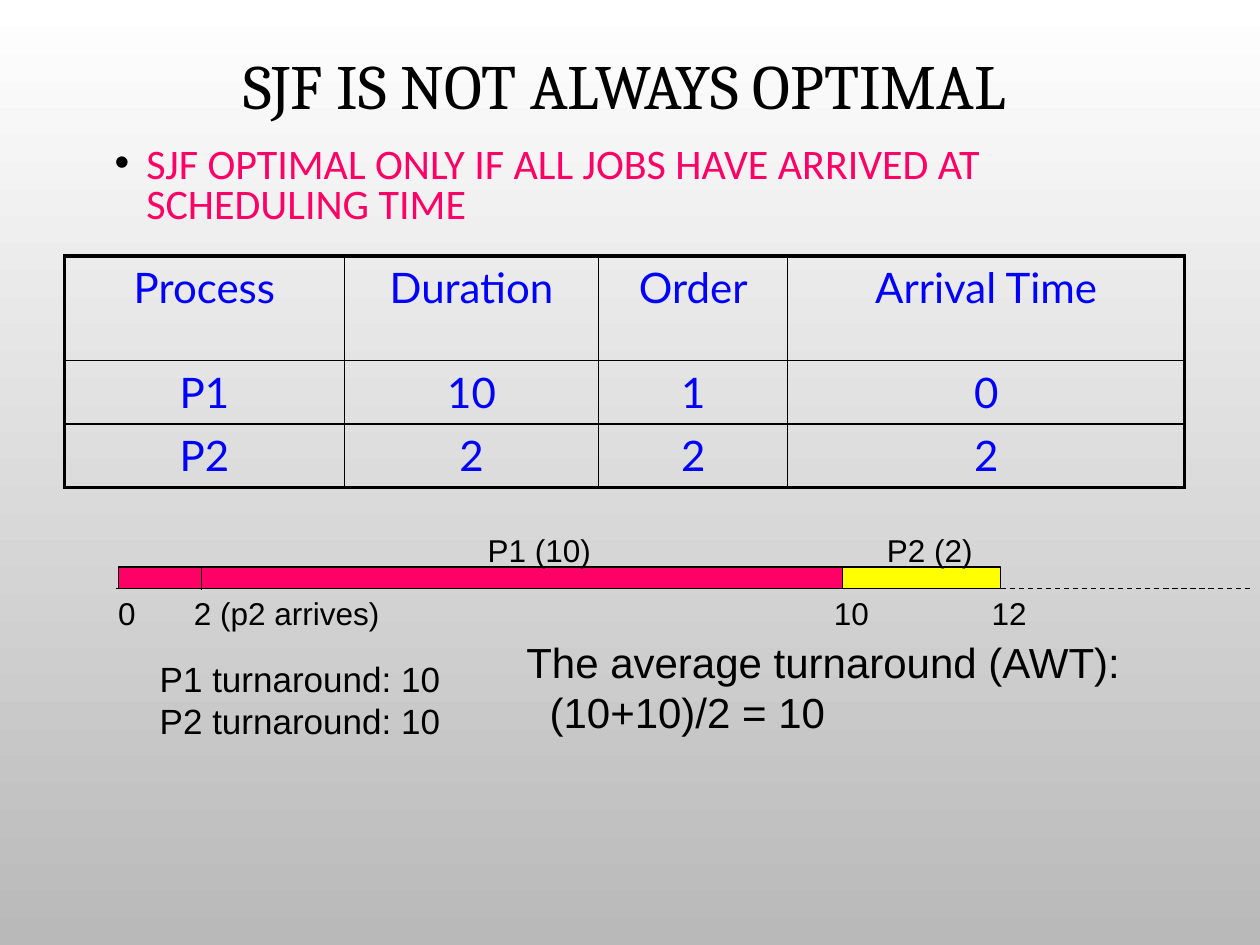
from typing import NamedTuple

import pptx
import pptx.dml.color
import pptx.enum.dml
import pptx.enum.shapes
import pptx.enum.text
import pptx.oxml
import pptx.oxml.ns
import pptx.util
from pptx.util import Cm, Pt

BLACK, PINK, YELLOW, BLUE = "000000", "FF0066", "FFFF00", "0000FF"
ALIGN = pptx.enum.text.PP_ALIGN
ANCHOR = pptx.enum.text.MSO_ANCHOR
NS = pptx.oxml.ns.nsdecls("a")
THIN, THICK = 1, 2.25
BAR_TOP, BAR_HEIGHT, AXIS_Y = 11.43, 0.43, 11.86
ABOVE_Y = 10.59


class Job(NamedTuple):
    left: float
    width: float
    color: str


class Note(NamedTuple):
    lines: list
    left: float
    top: float
    width: float
    height: float = 1.02
    size: float = 18
    wrap: bool = False
    last_indent: float = 0


JOBS = [Job(2.39, 14.6, PINK), Job(16.99, 3.18, YELLOW)]

NOTES = [
    Note(["P1 (10)"], 9.58, ABOVE_Y, 2.59),
    Note(["P2 (2)"], 17.63, ABOVE_Y, 2.24),
    Note(["0"], 2.13, AXIS_Y, 0.86),
    Note(["2 (p2 arrives)"], 3.66, AXIS_Y, 5.28, wrap=True),
    Note(["10"], 16.56, AXIS_Y, 1.22),
    Note(["12"], 19.74, AXIS_Y, 1.22),
    Note(["P1 turnaround: 10", "P2 turnaround: 10"], 2.97, 13.13, 6.2, 1.96, 20),
    Note(["The average turnaround (AWT):", "(10+10)/2 = 10"],
         10.36, 12.7, 13.21, 2.31, 24, wrap=True, last_indent=0.47),
]

PROCESSES = [
    ["Process", "Duration", "Order", "Arrival Time"],
    ["P1", "10", "1", "0"],
    ["P2", "2", "2", "2"],
]
COLUMN_WIDTHS = [5.64, 5.13, 3.81, 8]
ROW_HEIGHTS = [2.11, 1.17, 1.17]


def rgb(color: str):
    return pptx.dml.color.RGBColor.from_string(color)


def write(paragraph, text: str, *, size: float, font: str = "Arial", color: str = BLACK,
          align=ALIGN.LEFT, spacing: float = 1, caps: bool = False) -> None:
    paragraph.alignment = align
    paragraph.line_spacing = spacing
    run = paragraph.add_run()
    run.text = text
    run.font.size = Pt(size)
    run.font.name = font
    run.font.color.rgb = rgb(color)
    if caps:
        run.font._element.set("cap", "all")


def paint_background(slide) -> None:
    fill = slide.background.fill
    fill.gradient()
    fill.gradient_angle = 270
    for stop, color, position in zip(fill.gradient_stops, ("FFFFFF", "B9B9B9"), (0, 1)):
        stop.color.rgb = rgb(color)
        stop.position = position


def add_title(slide) -> None:
    title = slide.shapes.title
    title.left, title.top, title.width, title.height = Cm(1.3), Cm(0), Cm(22.58), Cm(3.61)
    title.text_frame.vertical_anchor = ANCHOR.MIDDLE
    write(title.text_frame.paragraphs[0], "SJF IS NOT ALWAYS OPTIMAL",
          size=36, font="Cambria", align=ALIGN.CENTER, spacing=0.9)


def add_claim(slide) -> None:
    claim = slide.shapes.add_textbox(Cm(2.06), Cm(2.84), Cm(19.28), Cm(4.45)).text_frame
    claim.word_wrap = True
    paragraph = claim.paragraphs[0]
    properties = paragraph._p.get_or_add_pPr()
    properties.set("marL", str(Cm(0.64)))
    properties.set("indent", str(-Cm(0.64)))
    for xml in (f'<a:buClr {NS}><a:srgbClr val="{BLACK}"/></a:buClr>',
                f'<a:buFont {NS} typeface="Arial"/>',
                f'<a:buChar {NS} char="•"/>'):
        properties.append(pptx.oxml.parse_xml(xml))
    write(paragraph, "SJF optimal only if all jobs have arrived at scheduling time",
          size=24, font="Calibri", color=PINK, spacing=0.8, caps=True)


def set_borders(cell, widths: dict) -> None:
    properties = cell._tc.get_or_add_tcPr()
    for side, width in widths.items():
        properties.append(pptx.oxml.parse_xml(
            f'<a:ln{side} {NS} w="{Pt(width)}"><a:solidFill><a:srgbClr val="{BLACK}"/>'
            f'</a:solidFill></a:ln{side}>'))


def add_process_table(slide) -> None:
    last_row, last_column = len(ROW_HEIGHTS) - 1, len(COLUMN_WIDTHS) - 1
    table = slide.shapes.add_table(
        len(ROW_HEIGHTS), len(COLUMN_WIDTHS), Cm(1.3), Cm(5.16),
        Cm(sum(COLUMN_WIDTHS)), Cm(sum(ROW_HEIGHTS))).table
    table.first_row = table.horz_banding = False
    for column, width in zip(table.columns, COLUMN_WIDTHS):
        column.width = Cm(width)
    for row, height in zip(table.rows, ROW_HEIGHTS):
        row.height = Cm(height)
    for r, values in enumerate(PROCESSES):
        for c, value in enumerate(values):
            cell = table.cell(r, c)
            cell.margin_left = cell.margin_right = Cm(0.33)
            cell.margin_top = cell.margin_bottom = Cm(0.13)
            set_borders(cell, {
                "L": THICK if c == 0 else THIN,
                "R": THICK if c == last_column else THIN,
                "T": THICK if r == 0 else THIN,
                "B": THICK if r == last_row else THIN,
            })
            cell.fill.background()
            write(cell.text_frame.paragraphs[0], value,
                  size=24, font="Lato", color=BLUE, align=ALIGN.CENTER)


def add_line(slide, x1: float, y1: float, x2: float, y2: float, dash=None) -> None:
    line = slide.shapes.add_connector(
        pptx.enum.shapes.MSO_CONNECTOR.STRAIGHT, Cm(x1), Cm(y1), Cm(x2), Cm(y2))
    line.line.color.rgb = rgb(BLACK)
    line.line.width = Pt(0.75)
    if dash:
        line.line.dash_style = dash
    line._element.spPr.append(pptx.oxml.parse_xml(f"<a:effectLst {NS}/>"))


def add_job(slide, job: Job) -> None:
    bar = slide.shapes.add_shape(
        pptx.enum.shapes.MSO_SHAPE.RECTANGLE,
        Cm(job.left), Cm(BAR_TOP), Cm(job.width), Cm(BAR_HEIGHT))
    bar.shadow.inherit = False
    bar.fill.solid()
    bar.fill.fore_color.rgb = rgb(job.color)
    bar.line.color.rgb = rgb(BLACK)
    bar.line.width = Pt(0.75)


def add_note(slide, note: Note) -> None:
    frame = slide.shapes.add_textbox(
        Cm(note.left), Cm(note.top), Cm(note.width), Cm(note.height)).text_frame
    frame.word_wrap = note.wrap
    frame.auto_size = pptx.enum.text.MSO_AUTO_SIZE.SHAPE_TO_FIT_TEXT
    for i, line in enumerate(note.lines):
        paragraph = frame.add_paragraph() if i else frame.paragraphs[0]
        write(paragraph, line, size=note.size)
    if note.last_indent:
        paragraph._p.get_or_add_pPr().set("marL", str(Cm(note.last_indent)))


def main() -> None:
    deck = pptx.Presentation()
    deck.slide_width, deck.slide_height = Cm(25.4), Cm(19.05)
    slide = deck.slides.add_slide(deck.slide_layouts.get_by_name("Title Only"))
    paint_background(slide)
    add_title(slide)
    add_process_table(slide)
    add_claim(slide)
    add_line(slide, 2.34, AXIS_Y, 25.2, AXIS_Y, pptx.enum.dml.MSO_LINE.DASH)
    for job in JOBS:
        add_job(slide, job)
    add_line(slide, 4.06, 11.46, 4.06, 11.89)
    for note in NOTES:
        add_note(slide, note)
    deck.save("out.pptx")


if __name__ == "__main__":
    main()
